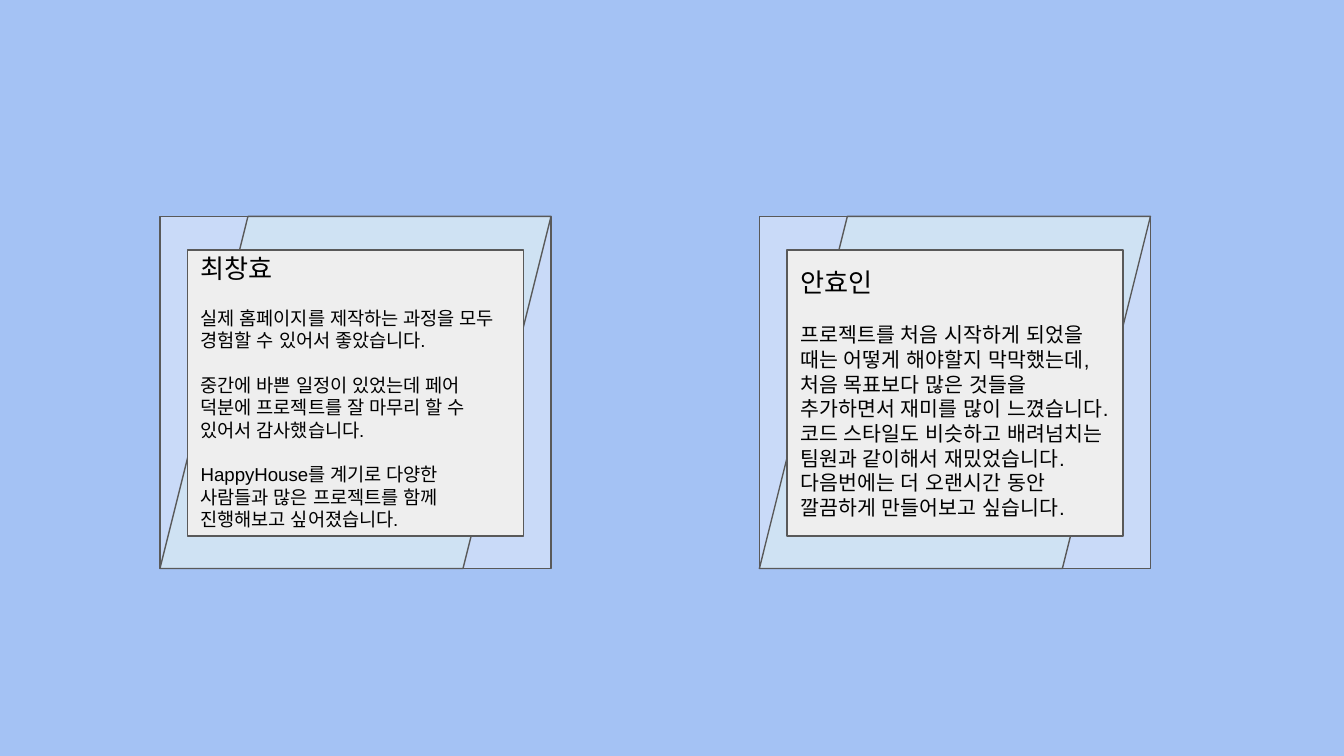
from lxml.etree import SubElement
from pptx import Presentation
from pptx.dml.color import RGBColor
from pptx.enum.shapes import MSO_SHAPE as Shape
from pptx.enum.text import MSO_ANCHOR as Anchor, PP_ALIGN as Align
from pptx.oxml.ns import qn
from pptx.util import Pt

PX = 4572  # EMU, 200 px to the inch

FONT = "Arial"
SKY = RGBColor(0xA4, 0xC2, 0xF4)
PERIWINKLE = RGBColor(0xC9, 0xDA, 0xF8)
PALE_BLUE = RGBColor(0xCF, 0xE2, 0xF3)
PAPER = RGBColor(0xEE, 0xEE, 0xEE)
OUTLINE = RGBColor(0x59, 0x59, 0x59)
BLACK = RGBColor(0, 0, 0)

FRAME_TOP, FRAME_W, FRAME_H = 322, 582, 524
CARD_TOP, CARD_W, CARD_H = 372, 500, 426
CARD_INSET = (FRAME_W - CARD_W) // 2
LEFT_FRAME, RIGHT_FRAME = 238, 1130

prs = Presentation()
prs.slide_width, prs.slide_height = 2000 * PX, 1125 * PX
slide = prs.slides.add_slide(prs.slide_layouts[6])
slide.background.fill.solid()
slide.background.fill.fore_color.rgb = SKY


def add_panel(kind, left, top, width, height, fill):
    panel = slide.shapes.add_shape(kind, left * PX, top * PX, width * PX, height * PX)
    panel.shadow.inherit = False
    panel.fill.solid()
    panel.fill.fore_color.rgb = fill
    panel.line.color.rgb = OUTLINE
    panel.line.width = Pt(0.75)
    return panel


def write(holder, name, comments, size, gap, anchor):
    """Put a name and its comments, gap points apart, into a shape."""
    frame = holder.text_frame
    frame.word_wrap = True
    frame.vertical_anchor = anchor
    frame.margin_left = frame.margin_right = 20 * PX
    frame.margin_top = frame.margin_bottom = 20 * PX
    for index, text in enumerate([name, *comments]):
        paragraph = frame.add_paragraph() if index else frame.paragraphs[0]
        paragraph.alignment = Align.LEFT
        paragraph.space_before = Pt(gap if index else 0)
        run = paragraph.add_run()
        run.text = text
        run.font.size = Pt(size if index else 14)
        run.font.color.rgb = BLACK
        run.font.name = FONT
        # Hangul and the spaces after it take the East Asian font
        SubElement(run.font._element, qn("a:ea"), typeface=FONT)


cards = []
for frame_left in (LEFT_FRAME, RIGHT_FRAME):
    add_panel(Shape.RECTANGLE, frame_left, FRAME_TOP, FRAME_W, FRAME_H, PERIWINKLE)
    ribbon = add_panel(Shape.PARALLELOGRAM, frame_left, FRAME_TOP, FRAME_W, FRAME_H, PALE_BLUE)
    ribbon.adjustments[0] = 0.25
    cards.append(add_panel(Shape.RECTANGLE, frame_left + CARD_INSET, CARD_TOP,
                           CARD_W, CARD_H, PAPER))

# The left review is taller than its card, so it has its own text box
left_review = slide.shapes.add_textbox(cards[0].left, 356 * PX, CARD_W * PX, 492 * PX)
write(left_review, "최창효", [
    "실제 홈페이지를 제작하는 과정을 모두 경험할 수 있어서 좋았습니다.",
    "중간에 바쁜 일정이 있었는데 페어 덕분에 프로젝트를 잘 마무리 할 수 있어서 감사했습니다.",
    "HappyHouse를 계기로 다양한 사람들과 많은 프로젝트를 함께 진행해보고 싶어졌습니다.",
], size=10, gap=12, anchor=Anchor.TOP)

write(cards[1], "안효인", [
    "프로젝트를 처음 시작하게 되었을 때는 어떻게 해야할지 막막했는데, "
    "처음 목표보다 많은 것들을 추가하면서 재미를 많이 느꼈습니다. "
    "코드 스타일도 비슷하고 배려넘치는 팀원과 같이해서 재밌었습니다. "
    "다음번에는 더 오랜시간 동안 깔끔하게 만들어보고 싶습니다.",
], size=11, gap=13, anchor=Anchor.MIDDLE)

prs.save("out.pptx")
